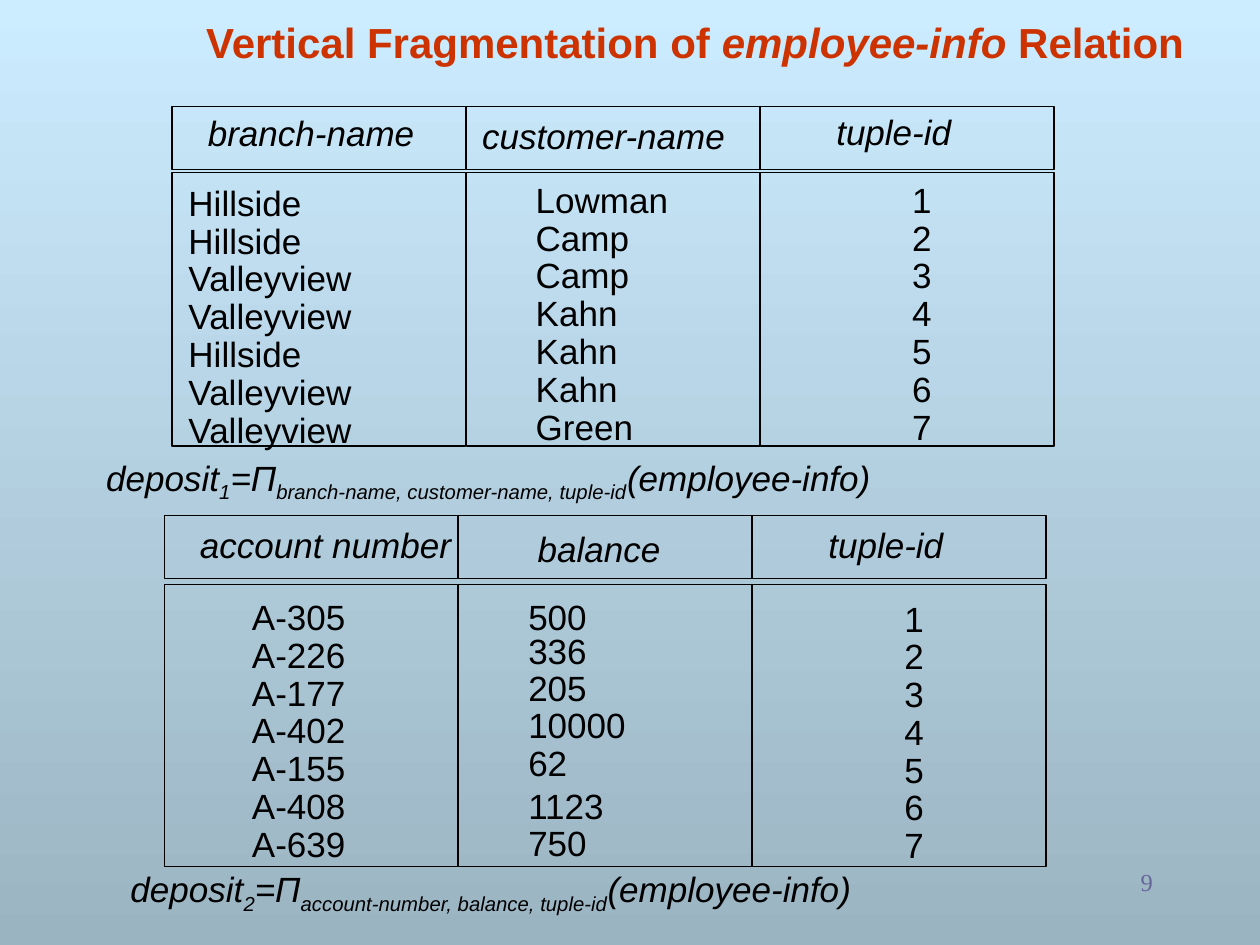
from pptx import Presentation
from pptx import util as u
from pptx.dml.color import RGBColor
from pptx.enum import shapes, text

BLACK = RGBColor(0x00, 0x00, 0x00)
RED = RGBColor(0xCC, 0x33, 0x00)
VIOLET = RGBColor(0x66, 0x66, 0x99)
SKY = RGBColor(0xCC, 0xEC, 0xFF)
SLATE = RGBColor(0x9B, 0xB4, 0xC2)

BODY = {"name": "Arial", "size": u.Pt(20)}
HEAD = {**BODY, "italic": True}
TITLE = {"name": "Arial", "size": u.Pt(24), "bold": True}
NUMBER = {"name": "Times New Roman", "size": u.Pt(14)}


def add_run(p, words, fmt, color, baseline=0):
    r = p.add_run()
    r.text = words
    for key, value in fmt.items():
        setattr(r.font, key, value)
    r.font.color.rgb = color
    if baseline:
        r._r.get_or_add_rPr().set("baseline", str(baseline))


def add_label(s, box, lines, fmt, spacings=None):
    tf = s.shapes.add_textbox(*map(u.Cm, box)).text_frame
    tf.word_wrap = False
    tf.auto_size = text.MSO_AUTO_SIZE.SHAPE_TO_FIT_TEXT
    spacings = spacings or [1] + [0.9] * (len(lines) - 1)
    for i, (line, spacing) in enumerate(zip(lines, spacings)):
        p = tf.add_paragraph() if i else tf.paragraphs[0]
        if spacing != 1:
            p.line_spacing = spacing
        for words, baseline in [(line, 0)] if isinstance(line, str) else line:
            add_run(p, words, fmt, BLACK, baseline)


prs = Presentation()
prs.slide_width, prs.slide_height = u.Cm(25.4), u.Cm(19.05)
s = prs.slides.add_slide(prs.slide_layouts[5])

fill = s.background.fill
fill.gradient()
fill.gradient_angle = 270
for stop, color, position in zip(fill.gradient_stops, (SKY, SLATE), (0, 1)):
    stop.color.rgb = color
    stop.position = position

title = s.shapes.title
title.left, title.top, title.width, title.height = map(u.Cm, (2.62, 0, 22.78, 1.48))
tf = title.text_frame
tf.auto_size = text.MSO_AUTO_SIZE.NONE
tf.vertical_anchor = text.MSO_ANCHOR.BOTTOM
p = tf.paragraphs[0]
p.alignment = text.PP_ALIGN.CENTER
p.line_spacing = 0.9
for words, italic in [
    ("Vertical Fragmentation of ", False),
    ("employee-info ", True),
    ("Relation", False),
]:
    add_run(p, words, {**TITLE, "italic": italic}, RED)

COLUMN_WIDTH, COLUMN_STEP = 5.92, 5.93
for left, rows in [
    (3.47, [(2.15, 1.27), (3.48, 5.51)]),
    (3.31, [(10.39, 1.27), (11.78, 5.69)]),
]:
    for top, height in rows:
        for column in range(3):
            box = (left + column * COLUMN_STEP, top, COLUMN_WIDTH, height)
            sp = s.shapes.add_shape(shapes.MSO_SHAPE.RECTANGLE, *map(u.Cm, box))
            sp.shadow.inherit = False
            sp.fill.background()
            sp.line.color.rgb = BLACK
            sp.line.width = u.Pt(0.75)

for name, left, top, width in [
    ("branch-name", 3.94, 2.12, 4.7),
    ("customer-name", 9.47, 2.18, 5.45),
    ("tuple-id", 16.61, 2.11, 2.85),
    ("account number", 3.78, 10.43, 5.7),
    ("balance", 10.59, 10.51, 3.1),
    ("tuple-id", 16.45, 10.43, 2.85),
]:
    add_label(s, (left, top, width, 1.12), [name], HEAD)

branches = "Hillside Hillside Valleyview Valleyview Hillside Valleyview Valleyview"
customers = "Lowman Camp Camp Kahn Kahn Kahn Green"
tuple_ids = "1 2 3 4 5 6 7"
accounts = "A-305 A-226 A-177 A-402 A-155 A-408 A-639"
balances = "500 336 205 10000 62 1123 750"
for values, box, spacings in [
    (branches, (3.55, 3.54, 3.9, 5.69), None),
    (customers, (10.55, 3.48, 3.25, 5.69), None),
    (tuple_ids, (18.14, 3.48, 0.95, 5.69), None),
    (accounts, (4.83, 11.89, 2.5, 5.69), None),
    (balances, (10.4, 11.79, 2.6, 5.77), [1.1, 0.8, 0.9, 0.9, 0.9, 1, 0.9]),
    (tuple_ids, (17.98, 11.92, 0.95, 5.69), None),
]:
    add_label(s, box, values.split(), BODY, spacings)

SUB = -25000
for index, attributes, box in [
    ("1", "branch-name, customer-name, tuple-id", (1.89, 9.07, 16, 1.22)),
    ("2", "account-number, balance, tuple-id", (2.38, 17.36, 15.15, 1.22)),
]:
    formula = [("deposit", 0), (index, SUB), ("=Π", 0), (attributes, SUB), ("(employee-info)", 0)]
    add_label(s, box, [formula], HEAD)

tf = s.shapes.add_textbox(*map(u.Cm, (18.21, 17.35, 5.28, 1.27))).text_frame
tf.word_wrap = True
p = tf.paragraphs[0]
p.alignment = text.PP_ALIGN.RIGHT
add_run(p, "9", NUMBER, VIOLET)

prs.save("out.pptx")
